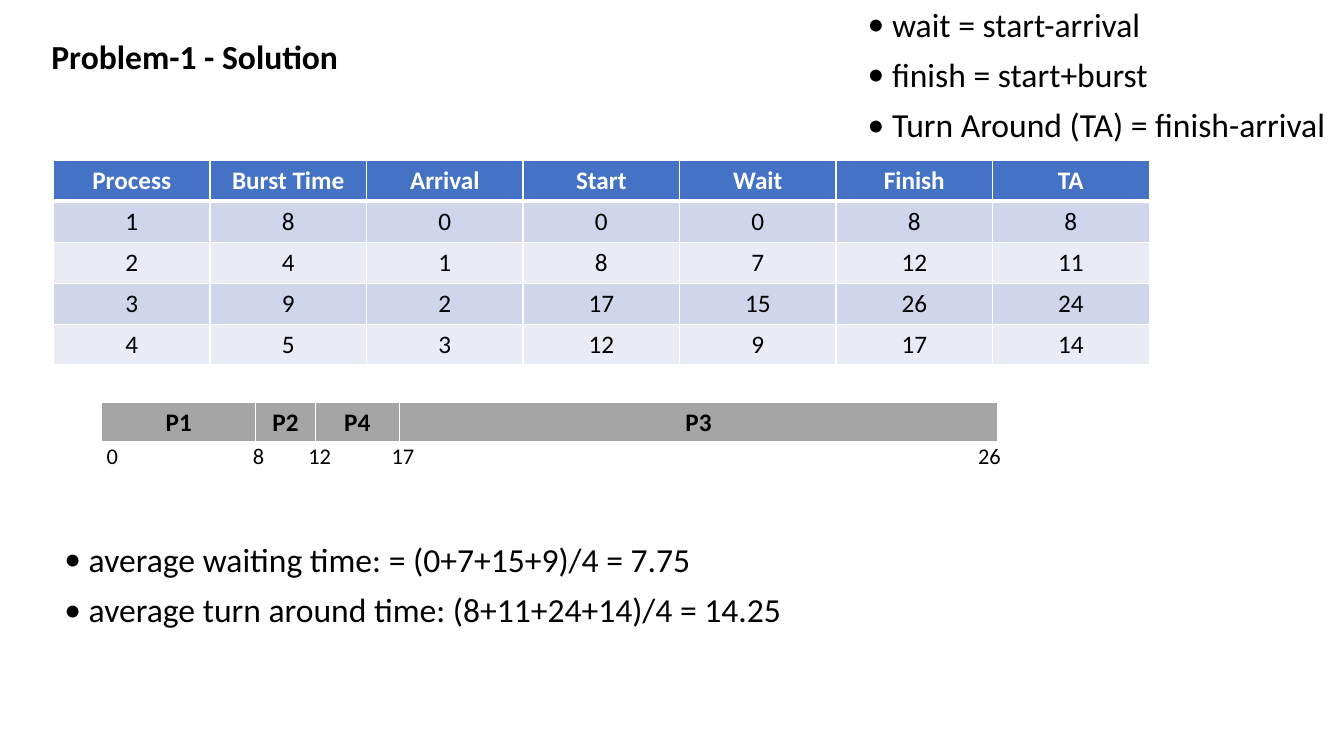
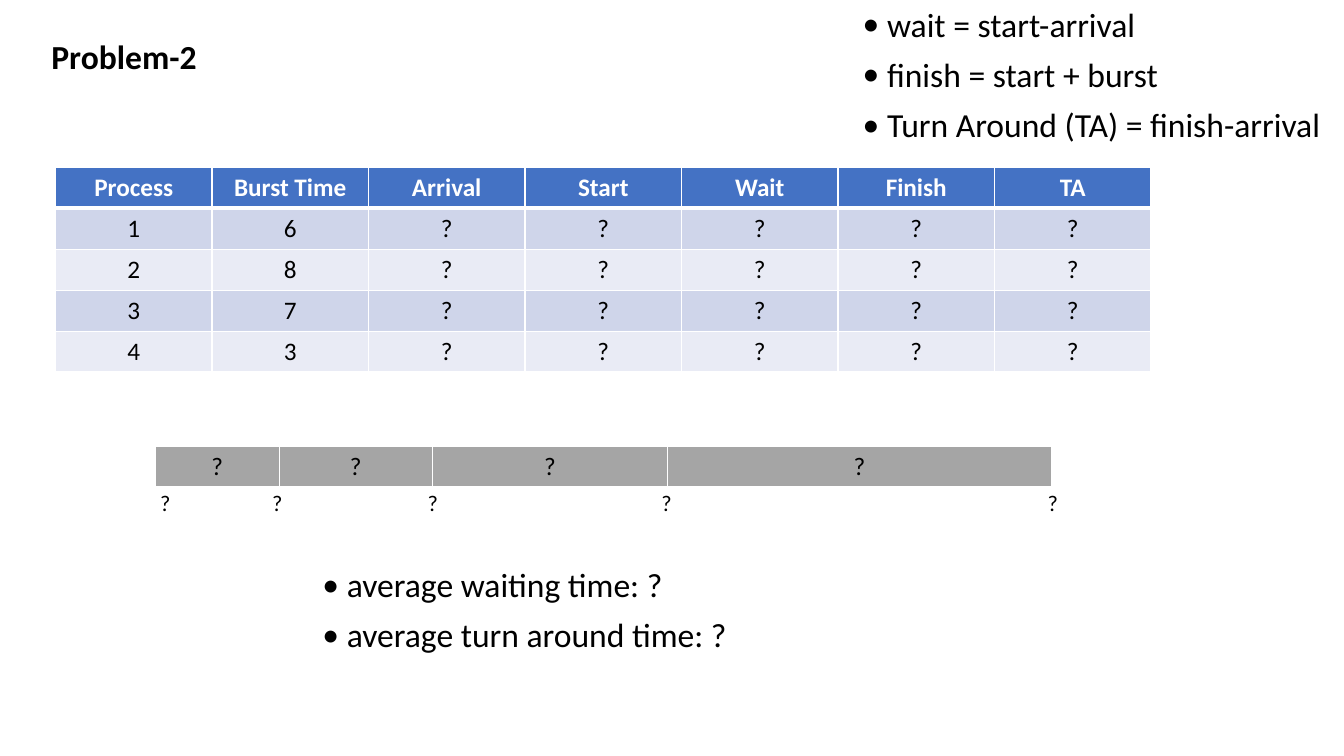
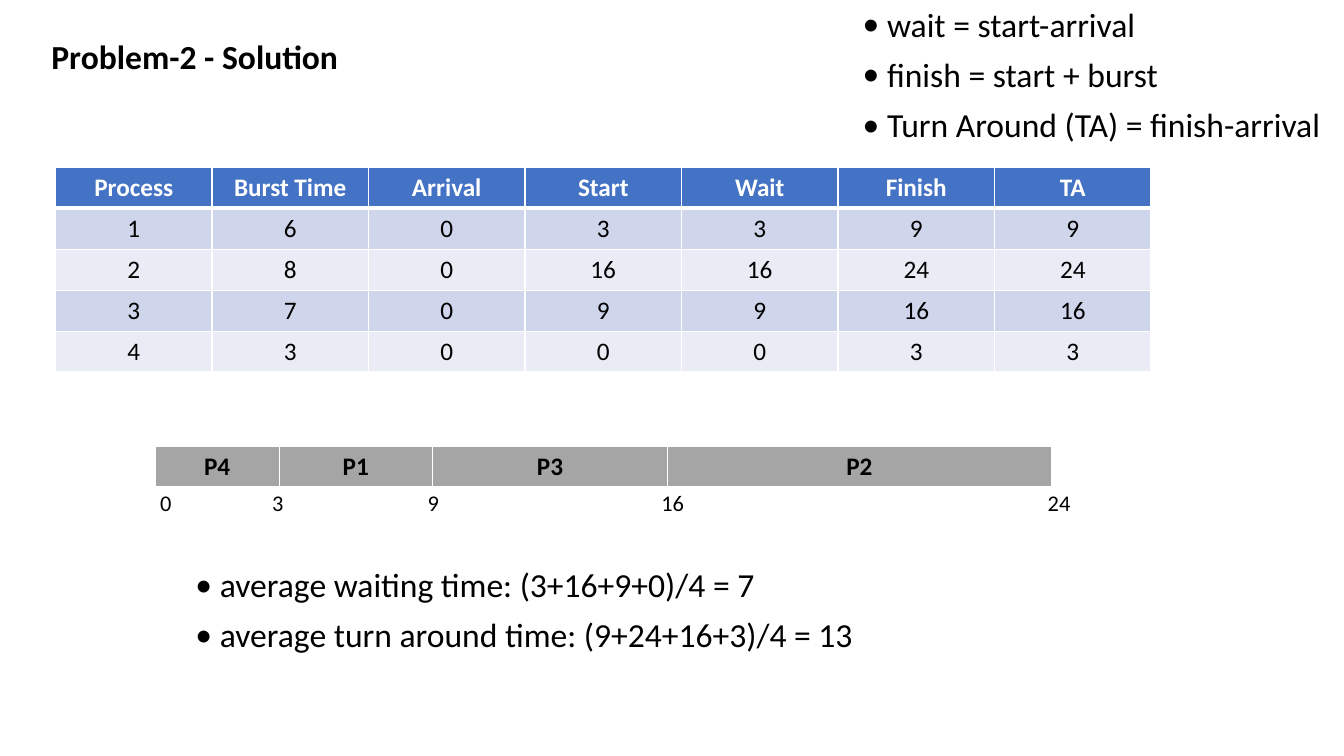
import collections
import dataclasses

import lxml.etree
import pptx
import pptx.dml.color
import pptx.enum.text
import pptx.oxml.ns
import pptx.util

Pt = pptx.util.Pt
Box = collections.namedtuple("Box", "left top width height")


@dataclasses.dataclass(frozen=True)
class Theme:
    """Hold the colours, type and line sizes of the deck."""
    font: str = "Calibri"
    large: int = 24
    cell: int = 18
    tick: int = 16
    ink: str = "000000"
    paper: str = "FFFFFF"
    head: str = "4472C4"
    bands: tuple = ("CFD5EA", "E9EBF5")
    gantt: str = "A5A5A5"
    thin: int = 1
    thick: int = 3
    hang: float = 17.4


THEME = Theme()
HEADS = ("Process", "Burst Time", "Arrival", "Start", "Wait", "Finish", "TA")
ALIGN = pptx.enum.text.PP_ALIGN


def rgb(code):
    """Turn a hex code into a colour."""
    return pptx.dml.color.RGBColor.from_string(code)


def node(owner, tag, **attrs):
    """Append a drawing element to its owner."""
    return lxml.etree.SubElement(owner, pptx.oxml.ns.qn(tag), attrs)


def write(para, text, size, color=THEME.ink, bold=False):
    """Add one styled run to a paragraph."""
    run = para.add_run()
    run.text = text
    run.font.name = THEME.font
    run.font.size = Pt(size)
    run.font.bold = bold
    run.font.color.rgb = rgb(color)


def place(shape, box):
    """Move a shape to its box."""
    shape.left, shape.top, shape.width, shape.height = map(Pt, box)


def frame(slide, box):
    """Add a wrapping text box and return its frame."""
    text = slide.shapes.add_textbox(*map(Pt, box)).text_frame
    text.word_wrap = True
    return text


def title(slide, text, box):
    """Format the title placeholder."""
    shape = slide.shapes.title
    place(shape, box)
    body = shape.text_frame
    body.word_wrap = True
    body.auto_size = pptx.enum.text.MSO_AUTO_SIZE.NONE
    body.vertical_anchor = pptx.enum.text.MSO_ANCHOR.TOP
    para = body.paragraphs[0]
    para.alignment = ALIGN.LEFT
    write(para, text, THEME.large, bold=True)


def bullets(slide, lines, box):
    """Write a bulleted list."""
    body = frame(slide, box)
    for i, line in enumerate(lines):
        para = body.add_paragraph() if i else body.paragraphs[0]
        para.line_spacing = 0.9
        para.space_before = Pt(10)
        props = para._p.get_or_add_pPr()
        props.set("marL", str(Pt(THEME.hang)))
        props.set("indent", str(-Pt(THEME.hang)))
        node(props, "a:buFont", typeface=THEME.font)
        node(props, "a:buChar", char="•")
        write(para, line, THEME.large)


def paint(cell, text, fill, edges, color=THEME.ink, bold=False):
    """Fill, border and label a table cell."""
    props = cell._tc.get_or_add_tcPr()
    for side, width in edges.items():
        line = node(props, "a:ln" + side, w=str(Pt(width)))
        node(node(line, "a:solidFill"), "a:srgbClr", val=THEME.paper)
    cell.fill.solid()
    cell.fill.fore_color.rgb = rgb(fill)
    para = cell.text_frame.paragraphs[0]
    para.alignment = ALIGN.CENTER
    write(para, text, THEME.cell, color, bold)


def table(slide, rows, widths, box):
    """Add an empty table with the given column widths."""
    grid = slide.shapes.add_table(rows, len(widths), *map(Pt, box)).table
    for col, width in zip(grid.columns, widths):
        col.width = Pt(width)
    return grid


def jobs(slide, rows, box):
    """Draw the process table with its header and bands."""
    grid = table(slide, len(rows) + 1, [box.width / len(HEADS)] * len(HEADS), box)
    sides = {"L": THEME.thin, "R": THEME.thin}
    top = {**sides, "T": THEME.thin, "B": THEME.thick}
    for c, text in enumerate(HEADS):
        paint(grid.cell(0, c), text, THEME.head, top, THEME.paper, True)
    for r, row in enumerate(rows):
        for c, text in enumerate(row.split()):
            paint(grid.cell(r + 1, c), text, THEME.bands[r % 2],
                  {**sides, "B": THEME.thin})


def gantt(slide, names, widths, ticks, stops, space, bold, box):
    """Draw the time bar with its tick labels beneath."""
    grid = table(slide, 1, widths, box)
    edges = {"L": THEME.thin, "R": THEME.thin, "T": THEME.thin, "B": THEME.thick}
    for c, name in enumerate(names.split()):
        paint(grid.cell(0, c), name, THEME.gantt, edges, bold=bold)
    under = Box(box.left - 3.6, box.top + box.height, box.width + 40, 40)
    para = frame(slide, under).paragraphs[0]
    para.line_spacing = space
    para.space_before = Pt(10)
    tabs = node(para._p.get_or_add_pPr(), "a:tabLst")
    for stop in stops:
        node(tabs, "a:tab", pos=str(Pt(stop)), algn="l")
    write(para, "\t".join(ticks.split()), THEME.tick)


def page(deck, name, finish, rows, bar, means, spots):
    """Build one scheduling slide from its parts."""
    slide = deck.slides.add_slide(deck.slide_layouts[5])
    title(slide, name, Box(29.5, 22.3, 450, 36))
    gantt(slide, *bar, Box(*spots["bar"], 640, 28.8))
    bullets(slide, means, Box(*spots["means"], 613, 70.6))
    jobs(slide, rows, Box(*spots["jobs"], 782.6, 146.4))
    rules = ("wait = start-arrival", finish, "Turn Around (TA) = finish-arrival")
    bullets(slide, rules, Box(spots["rules"], 2.2, 347, 125))


def main():
    """Build and save the deck."""
    deck = pptx.Presentation()
    deck.slide_width, deck.slide_height = Pt(960), Pt(540)
    first = {"bar": (72.7, 287.3), "means": (38.9, 384.5),
             "jobs": (38.2, 114.5), "rules": 612.7}
    second = {"bar": (110.9, 319), "jobs": (39.6, 119.5), "rules": 609.1}
    widths = (88.5, 109.5, 168, 274)
    stops = (80, 191, 358, 634)
    finish = "finish = start + burst"

    page(deck, "Problem-1 - Solution", "finish = start+burst",
         ("1 8 0 0 0 8 8", "2 4 1 8 7 12 11",
          "3 9 2 17 15 26 24", "4 5 3 12 9 17 14"),
         ("P1 P2 P4 P3", (110, 42.5, 60, 427.5), "0 8 12 17 26",
          (104.5, 144, 203.5, 622.5), 0.8, True),
         ("average waiting time: = (0+7+15+9)/4 = 7.75",
          "average turn around time: (8+11+24+14)/4 = 14.25"), first)
    page(deck, "Problem-2", finish,
         ("1 6 ? ? ? ? ?", "2 8 ? ? ? ? ?", "3 7 ? ? ? ? ?", "4 3 ? ? ? ? ?"),
         ("? ? ? ?", widths, "? ? ? ? ?", stops, 0.9, False),
         ("average waiting time: ?", "average turn around time: ?"),
         {**second, "means": (223.2, 402.5)})
    page(deck, "Problem-2 - Solution", finish,
         ("1 6 0 3 3 9 9", "2 8 0 16 16 24 24",
          "3 7 0 9 9 16 16", "4 3 0 0 0 3 3"),
         ("P4 P1 P3 P2", widths, "0 3 9 16 24", stops, 0.9, True),
         ("average waiting time: (3+16+9+0)/4 = 7",
          "average turn around time: (9+24+16+3)/4 = 13"),
         {**second, "means": (132.5, 402.5)})
    deck.save("out.pptx")


main()
